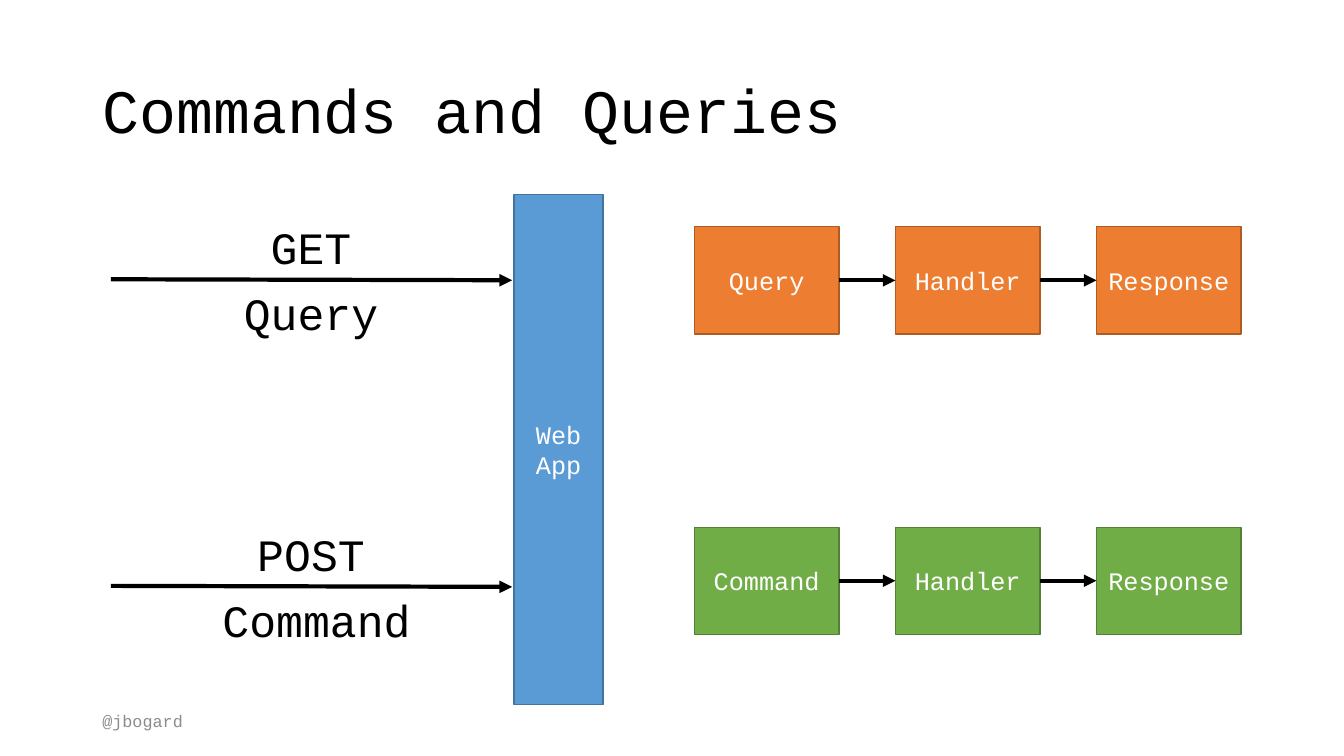
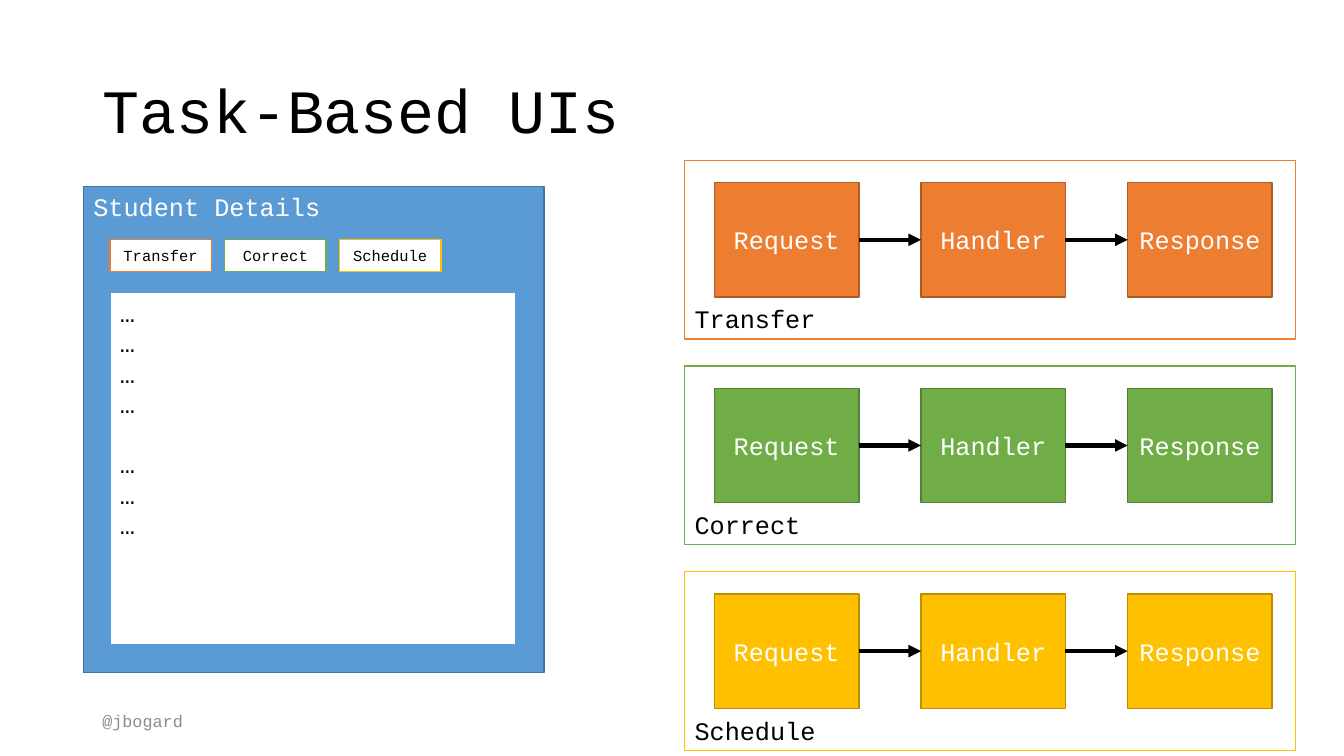
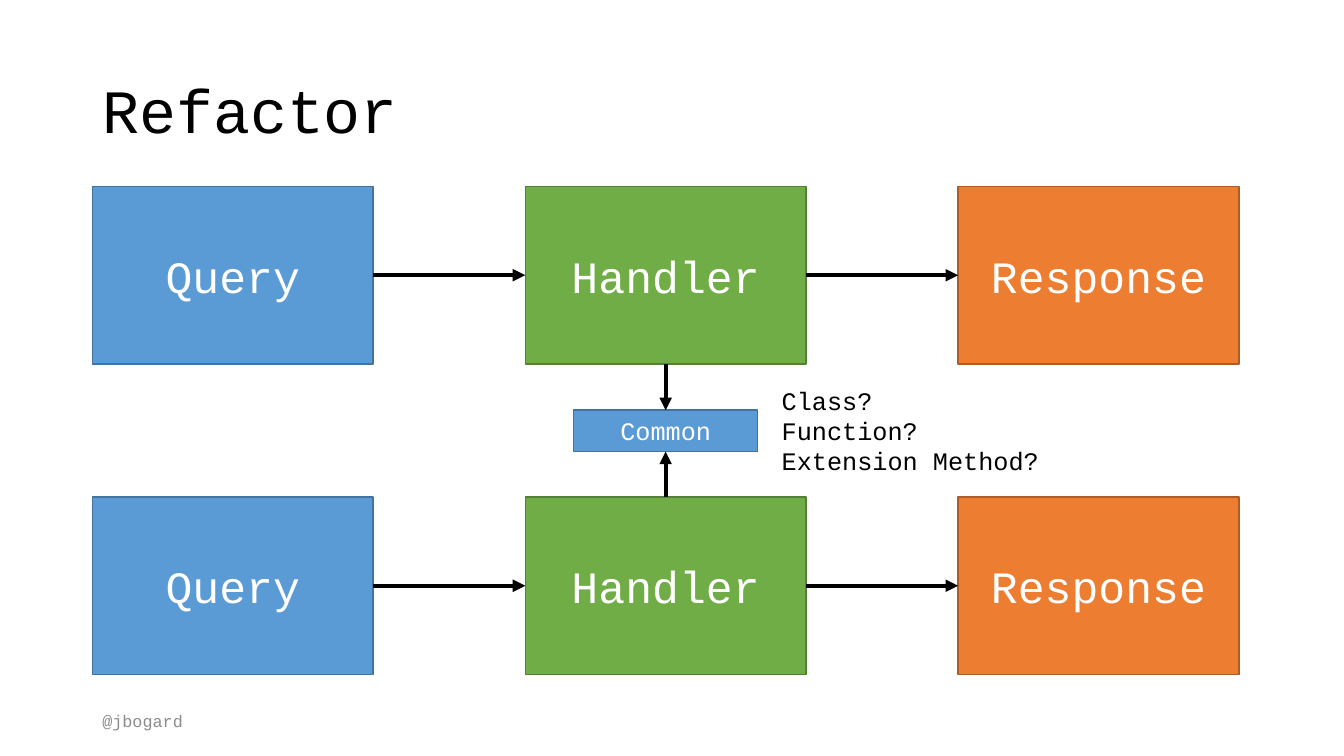
"""Build three slides on commands, queries and task-based screens."""
from itertools import pairwise

from lxml.etree import SubElement
from pptx import Presentation
from pptx.dml.color import RGBColor
from pptx.enum.shapes import MSO_CONNECTOR, MSO_SHAPE
from pptx.enum.text import MSO_ANCHOR, PP_ALIGN
from pptx.oxml.ns import qn
from pptx.util import Pt

COLORS = {
    "black": "000000", "white": "FFFFFF", "grey": "8C8C8C",
    "blue": "5B9BD5", "orange": "ED7D31", "green": "70AD47", "gold": "FFC000",
    "blue edge": "43739E", "orange edge": "AF5C24",
    "green edge": "538035", "gold edge": "BD8E00",
}
FONT = "Courier New"
TOP, LEFT, BOTTOM, RIGHT = 0, 1, 2, 3
CENTERED = {"alignment": PP_ALIGN.CENTER}
TITLE_STYLE = {"line_spacing": 0.9}
TASKS = {"Transfer": "orange", "Correct": "green", "Schedule": "gold"}


def rgb(color):
    return RGBColor.from_string(COLORS[color])


def apply(target, values):
    for attribute, value in values.items():
        setattr(target, attribute, value)


def write(frame, text, size, color, anchor, layout):
    apply(frame, {"word_wrap": True, "vertical_anchor": anchor})
    for index, line in enumerate(text.split("\n")):
        paragraph = frame.add_paragraph() if index else frame.paragraphs[0]
        apply(paragraph, layout)
        run = paragraph.add_run()
        apply(run, {"text": line})
        apply(run.font, {"name": FONT, "size": Pt(size)})
        run.font.color.rgb = rgb(color)


def add_text(slide, area, text, size, color="black",
             anchor=MSO_ANCHOR.TOP, layout=None):
    label = slide.shapes.add_textbox(*map(Pt, area))
    write(label.text_frame, text, size, color, anchor, layout or {})


def add_box(slide, area, text, size, fill, edge=None, color="white",
            anchor=MSO_ANCHOR.MIDDLE, align=PP_ALIGN.CENTER):
    box = slide.shapes.add_shape(MSO_SHAPE.RECTANGLE, *map(Pt, area))
    box.shadow.inherit = False
    box.fill.solid()
    box.fill.fore_color.rgb = rgb(fill)
    box.line.color.rgb = rgb(edge or f"{fill} edge")
    box.line.width = Pt(1)
    write(box.text_frame, text, size, color, anchor, {"alignment": align})
    return box


def add_arrow(slide, start=(0, 0), end=(0, 0)):
    arrow = slide.shapes.add_connector(
        MSO_CONNECTOR.STRAIGHT, *map(Pt, start + end))
    arrow.line.color.rgb = rgb("black")
    arrow.line.width = Pt(3)
    SubElement(arrow.line._get_or_add_ln(), qn("a:tailEnd"), type="triangle")
    SubElement(arrow._element.spPr, qn("a:effectLst"))
    return arrow


def join(slide, source, source_side, target, target_side):
    arrow = add_arrow(slide)
    arrow.begin_connect(source, source_side)
    arrow.end_connect(target, target_side)


def add_flow(slide, names, fills, left, top, step, width, height, size=18):
    stages = [
        add_box(slide, (left + index * step, top, width, height), name, size, fill)
        for index, (name, fill) in enumerate(zip(names, fills))
    ]
    for source, target in pairwise(stages):
        join(slide, source, RIGHT, target, LEFT)
    return stages


def add_titled_slide(deck, title):
    slide = deck.slides.add_slide(deck.slide_layouts[6])
    add_text(slide, (66, 28.8, 828, 104.4), title, 44,
             anchor=MSO_ANCHOR.MIDDLE, layout=TITLE_STYLE)
    add_text(slide, (66, 500.5, 216, 28.8), "@jbogard", 12, "grey",
             MSO_ANCHOR.MIDDLE)
    return slide


def build_commands(deck):
    slide = add_titled_slide(deck, "Commands and Queries")
    add_box(slide, (367.2, 139, 63.6, 364.3), "Web App", 18, "blue")
    requests = [("GET", "Query", 142, "orange", 162),
                ("POST", "Command", 150, "green", 376.6)]
    for index, (verb, kind, width, fill, flow_top) in enumerate(requests):
        wire = 199.5 + index * 219
        add_arrow(slide, (79.2, wire), (365.8, wire + 0.7))
        add_text(slide, (151.2, wire - 46, 142, 46), verb, 32, layout=CENTERED)
        add_text(slide, (151.2, wire + 1, width, 46), kind, 32, layout=CENTERED)
        add_flow(slide, [kind, "Handler", "Response"], [fill] * 3,
                 496, flow_top, 143.6, 103.2, 76.5)


def build_tasks(deck):
    slide = add_titled_slide(deck, "Task-Based UIs")
    add_box(slide, (59.6, 133.3, 329, 347), "Student Details", 18, "blue",
            anchor=MSO_ANCHOR.TOP, align=PP_ALIGN.LEFT)
    details = add_box(slide, (78.5, 209, 290, 251.5), "\n".join("…" * 7), 18,
                      "white", "blue", "black", MSO_ANCHOR.TOP, PP_ALIGN.LEFT)
    details.text_frame.paragraphs[4].space_before = Pt(21.5)
    for index, (task, color) in enumerate(TASKS.items()):
        add_box(slide, (78.5 + index * 82, 171, 72.5, 23), task, 11,
                "white", color, "black")
        top = 114.5 + index * 146.9
        add_box(slide, (489, top, 436.5, 127.6), task, 18, "white", color,
                "black", MSO_ANCHOR.BOTTOM, PP_ALIGN.LEFT)
        add_flow(slide, ["Request", "Handler", "Response"], [color] * 3,
                 510.3, top + 16, 147.6, 103.2, 81.6)


def build_refactor(deck):
    slide = add_titled_slide(deck, "Refactor")
    upper, lower = [
        add_flow(slide, ["Query", "Handler", "Response"],
                 ["blue", "green", "orange"], 66, top, 309.2, 200.6, 126.8, 32)
        for top in (133.2, 355)
    ]
    common = add_box(slide, (409.8, 293, 131.4, 29.6), "Common", 18, "blue")
    join(slide, lower[1], TOP, common, BOTTOM)
    join(slide, upper[1], BOTTOM, common, TOP)
    add_text(slide, (551.3, 271.5, 266.4, 72.7),
             "Class?\nFunction?\nExtension Method?", 18)


def main():
    deck = Presentation()
    apply(deck, {"slide_width": Pt(960), "slide_height": Pt(540)})
    for build in (build_commands, build_tasks, build_refactor):
        build(deck)
    deck.save("out.pptx")


if __name__ == "__main__":
    main()
